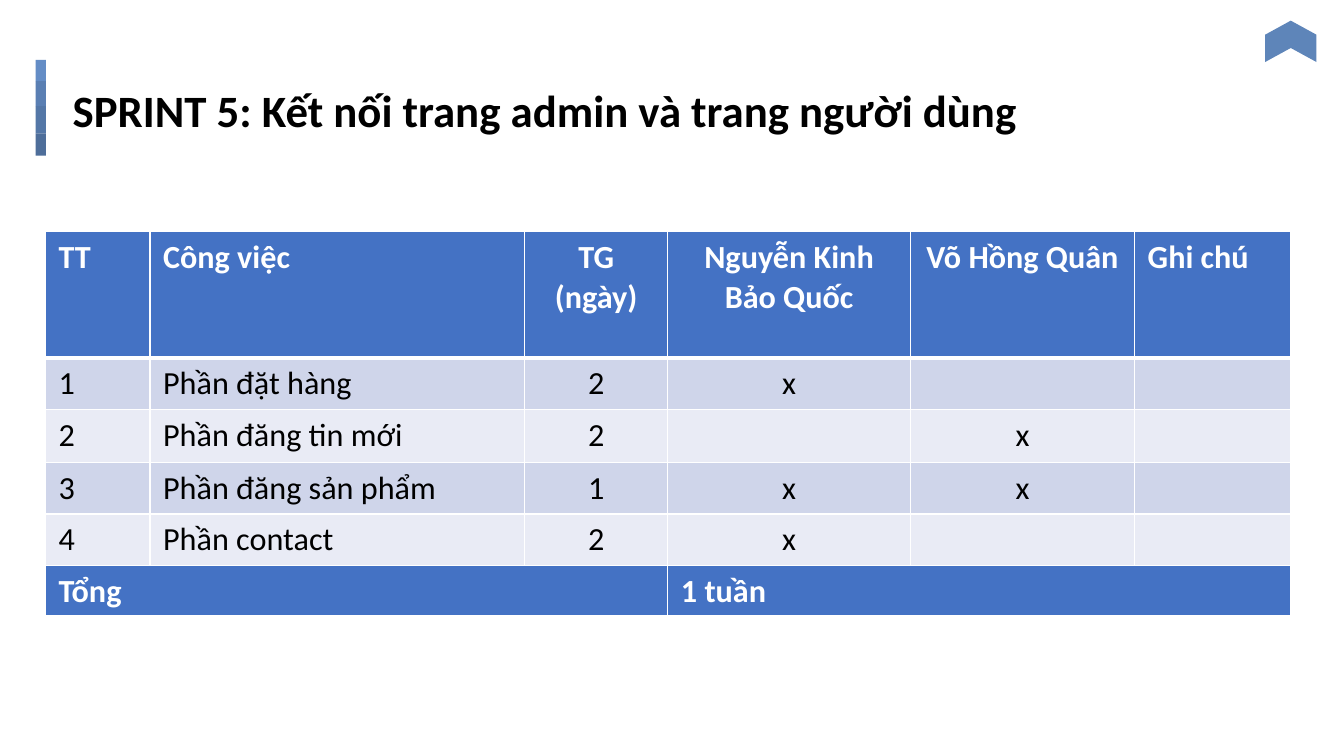
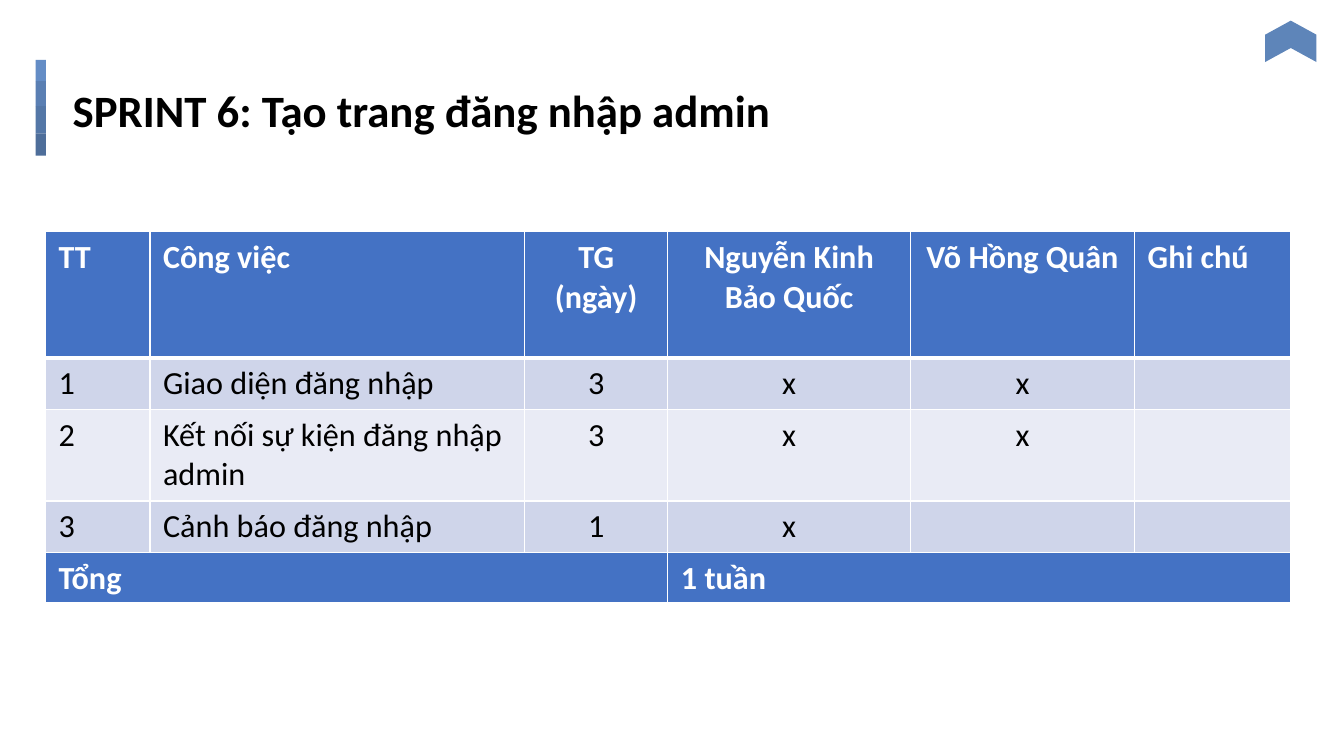
from lxml.etree import SubElement
from pptx import Presentation
from pptx.dml.color import RGBColor
from pptx.enum.shapes import MSO_SHAPE
from pptx.enum.text import MSO_ANCHOR, PP_ALIGN
from pptx.oxml.ns import qn
from pptx.util import Inches, Pt

COLORS = {
    "text": "000000",
    "white": "FFFFFF",
    "header": "4472C4",
    "odd_row": "CFD5EA",
    "even_row": "E9EBF5",
    "mark": "5E85B9",
}
BAR_SEGMENTS = [("648DC6", 2.8), ("5A7FB3", 3.33), ("5477A7", 3.6), ("4E6E9A", 2.94)]
FONT = "Calibri"
TABLE_LEFT, TABLE_TOP, TABLE_WIDTH = 3.38, 30.67, 92.63
TASK_COLUMNS = [8.4, 30.1, 11.5, 19.5, 18, 12.5]
TOTAL_COLUMNS = [50, 50]
HEADER_HEIGHT, ROW_HEIGHT, TALL_ROW, TWO_LINE_ROW = 16.67, 6.8, 7.07, 12.13
CENTERED_COLUMNS = (2, 3, 4)

HEADINGS = ["TT", "Công việc", "TG (ngày)", "Nguyễn Kinh Bảo Quốc", "Võ Hồng Quân", "Ghi chú"]
TOTAL = ["Tổng", "1 tuần"]
SPRINTS = [
    (
        "SPRINT 5: Kết nối trang admin và trang người dùng",
        [
            ["1", "Phần đặt hàng", "2", "x", "", ""],
            ["2", "Phần đăng tin mới", "2", "", "x", ""],
            ["3", "Phần đăng sản phẩm", "1", "x", "x", ""],
            ["4", "Phần contact", "2", "x", "", ""],
        ],
        [HEADER_HEIGHT, ROW_HEIGHT, TALL_ROW, ROW_HEIGHT, ROW_HEIGHT],
    ),
    (
        "SPRINT 6: Tạo trang đăng nhập admin",
        [
            ["1", "Giao diện đăng nhập", "3", "x", "x", ""],
            ["2", "Kết nối sự kiện đăng nhập admin", "3", "x", "x", ""],
            ["3", "Cảnh báo đăng nhập", "1", "x", "", ""],
        ],
        [HEADER_HEIGHT, ROW_HEIGHT, TWO_LINE_ROW, ROW_HEIGHT],
    ),
]

deck = Presentation()
deck.slide_width = Inches(13.33)
deck.slide_height = Inches(7.5)


def share(left, top, width, height):
    across, down = deck.slide_width / 100, deck.slide_height / 100
    return int(left * across), int(top * down), int(width * across), int(height * down)


def format_run(paragraph, size, color, bold):
    for run in paragraph.runs:
        run.font.name = FONT
        run.font.size = Pt(size)
        run.font.bold = bold
        run.font.color.rgb = RGBColor.from_string(COLORS[color])


for heading, tasks, task_heights in SPRINTS:
    slide = deck.slides.add_slide(deck.slide_layouts[6])

    blocks = []
    segment_top = 7.93
    for color, height in BAR_SEGMENTS:
        segment = slide.shapes.add_shape(MSO_SHAPE.RECTANGLE, *share(2.66, segment_top, 0.75, height))
        blocks.append((segment, color))
        segment_top += height

    corner_mark = slide.shapes.add_shape(MSO_SHAPE.CHEVRON, *share(94.5, 2.07, 3.08, 6.8))
    corner_mark.rotation = 270
    corner_mark.adjustments[0] = 0.34
    blocks.append((corner_mark, COLORS["mark"]))

    for block, color in blocks:
        block.shadow.inherit = False
        block.fill.solid()
        block.fill.fore_color.rgb = RGBColor.from_string(color)
        block.line.fill.background()

    title = slide.shapes.add_textbox(*share(4.43, 10, 92.55, 8.13)).text_frame
    title.word_wrap = True
    title.vertical_anchor = MSO_ANCHOR.TOP
    title.margin_left = title.margin_right = Inches(0.13)
    title.margin_top = title.margin_bottom = Inches(0.13)
    title.text = heading
    title.paragraphs[0].line_spacing = 0.9
    format_run(title.paragraphs[0], 32, "text", True)

    total_top = TABLE_TOP + sum(task_heights)
    for top, columns, heights, rows in [
        (TABLE_TOP, TASK_COLUMNS, task_heights, [HEADINGS] + tasks),
        (total_top, TOTAL_COLUMNS, [ROW_HEIGHT], [TOTAL]),
    ]:
        table = slide.shapes.add_table(
            len(rows), len(columns), *share(TABLE_LEFT, top, TABLE_WIDTH, sum(heights))
        ).table
        table.first_row = table.horz_banding = False
        for column, percent in zip(table.columns, columns):
            column.width = share(0, 0, TABLE_WIDTH * percent / 100, 0)[2]
        for row, height in zip(table.rows, heights):
            row.height = share(0, 0, 0, height)[3]

        for r, values in enumerate(rows):
            is_header = r == 0
            fill = "header" if is_header else "odd_row" if r % 2 else "even_row"
            for c, value in enumerate(values):
                cell = table.cell(r, c)
                cell.margin_left = cell.margin_right = Inches(0.13)
                cell.margin_top = cell.margin_bottom = Inches(0.06)
                cell.text_frame.text = value
                paragraph = cell.text_frame.paragraphs[0]
                if rows[0] is HEADINGS and c in CENTERED_COLUMNS:
                    paragraph.alignment = PP_ALIGN.CENTER
                format_run(paragraph, 23, "white" if is_header else "text", is_header)

                edges = {"lnL": 1, "lnR": 1, "lnT": 3 if r == 1 else 1, "lnB": 3 if is_header else 1}
                properties = cell._tc.get_or_add_tcPr()
                for edge, points in edges.items():
                    border = SubElement(properties, qn(f"a:{edge}"), w=str(Pt(points)))
                    border_fill = SubElement(border, qn("a:solidFill"))
                    SubElement(border_fill, qn("a:srgbClr"), val=COLORS["white"])
                cell.fill.solid()
                cell.fill.fore_color.rgb = RGBColor.from_string(COLORS[fill])

deck.save("out.pptx")
